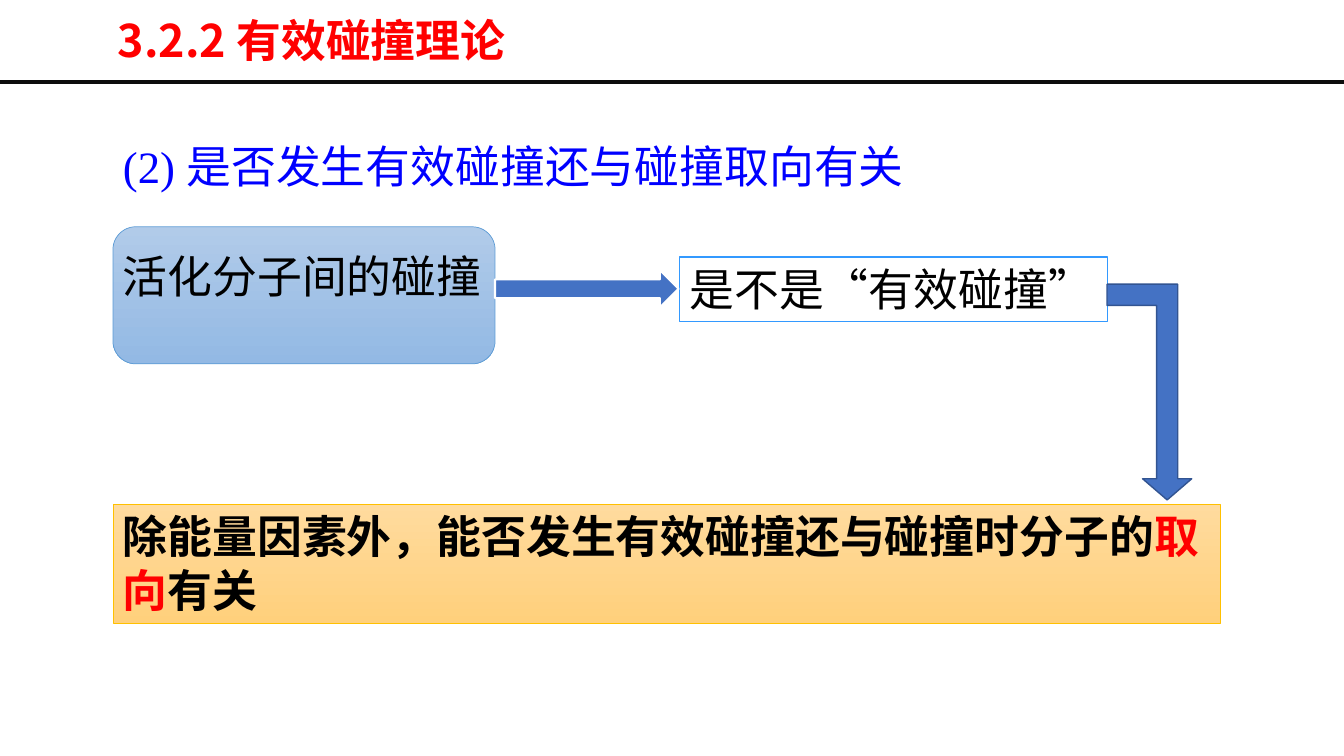
from dataclasses import dataclass
from typing import NamedTuple

from lxml.etree import SubElement
from pptx import Presentation
from pptx.dml.color import RGBColor
from pptx.dml.fill import FillFormat
from pptx.enum.shapes import MSO_CONNECTOR, MSO_SHAPE
from pptx.enum.text import MSO_ANCHOR, PP_ALIGN
from pptx.oxml.ns import qn
from pptx.shapes.autoshape import Shape
from pptx.slide import Slide
from pptx.util import Emu, Pt

EMU_PER_PX = 9144
SLIDE_WIDTH, SLIDE_HEIGHT = 1333, 750


@dataclass(frozen=True)
class Theme:
    text_size: int = 32
    sans: str = "Noto Sans CJK SC"
    serif: str = "Times New Roman"
    black: str = "000000"
    red: str = "FF0000"
    blue: str = "0000FF"
    rule: str = "0D0D0D"
    arrow: str = "4472C4"
    arrow_edge: str = "325491"
    white: str = "FFFFFF"
    sky: tuple[str, str] = ("B1CBE9", "93B9E4")
    sky_edge: str = "5B9BD5"
    question_edge: str = "3399FF"
    amber: tuple[str, str] = ("FFDB9E", "FFD07C")
    amber_edge: str = "FFC000"


THEME = Theme()


class Box(NamedTuple):
    left: int
    top: int
    width: int
    height: int


class Block(NamedTuple):
    kind: MSO_SHAPE
    box: Box
    fill: tuple[str, ...]
    edge: str
    edge_width: float
    adjustments: tuple[float, ...] = ()
    flipped: bool = False


class Label(NamedTuple):
    box: Box
    runs: tuple[tuple[str, str], ...]
    font: str = THEME.sans
    bold: bool = False
    wrap: bool = True
    anchor: MSO_ANCHOR = MSO_ANCHOR.TOP
    paragraph_format: dict[str, object] = {}


COLLISION = Box(112, 225, 379, 136)
QUESTION = Box(674, 255, 424, 64)
CONCLUSION = Box(112, 500, 1098, 118)

BLOCKS = (
    Block(MSO_SHAPE.FLOWCHART_ALTERNATE_PROCESS, COLLISION, THEME.sky, THEME.sky_edge, 0.5),
    Block(MSO_SHAPE.RECTANGLE, QUESTION, (), THEME.question_edge, 0.75),
    Block(MSO_SHAPE.BENT_UP_ARROW, Box(1098, 282, 84, 214), (THEME.arrow,),
          THEME.arrow_edge, 1, (0.25, 0.29, 0.25), True),
    Block(MSO_SHAPE.RECTANGLE, CONCLUSION, THEME.amber, THEME.amber_edge, 0.5),
    Block(MSO_SHAPE.RIGHT_ARROW, Box(491, 268, 182, 37), (THEME.arrow,), THEME.white, 1.5),
)

LABELS = (
    Label(Box(107, 13, 923, 60), (("3.2.2 有效碰撞理论", THEME.red),), bold=True,
          anchor=MSO_ANCHOR.MIDDLE, paragraph_format={"line_spacing": 0.9}),
    Label(Box(112, 106, 1115, 565), (("(2) 是否发生有效碰撞还与碰撞取向有关", THEME.blue),),
          font=THEME.serif,
          paragraph_format={"line_spacing": 1.5, "space_before": Pt(10),
                            "alignment": PP_ALIGN.JUSTIFY}),
    Label(Box(112, 242, 379, 102), (("活化分子间的碰撞", THEME.black),), wrap=False),
    Label(QUESTION, (("是不是“有效碰撞”", THEME.black),), wrap=False,
          paragraph_format={"alignment": PP_ALIGN.JUSTIFY}),
    Label(CONCLUSION,
          (("除能量因素外，能否发生有效碰撞还与碰撞时分子的", THEME.black),
           ("取向", THEME.red), ("有关", THEME.black)),
          font=THEME.serif, bold=True),
)


def px(length: int) -> Emu:
    return Emu(length * EMU_PER_PX)


def rgb(color: str) -> RGBColor:
    return RGBColor.from_string(color)


def paint(fill: FillFormat, colors: tuple[str, ...]) -> None:
    """Fill with nothing, one colour, or a gradient running from top to bottom."""
    if not colors:
        fill.background()
    elif len(colors) == 1:
        fill.solid()
        fill.fore_color.rgb = rgb(colors[0])
    else:
        fill.gradient()
        fill.gradient_angle = 270
        for stop, color in zip(fill.gradient_stops, colors):
            stop.color.rgb = rgb(color)


def add_block(slide: Slide, block: Block) -> Shape:
    shape = slide.shapes.add_shape(block.kind, *map(px, block.box))
    shape.shadow.inherit = False
    paint(shape.fill, block.fill)
    shape.line.color.rgb = rgb(block.edge)
    shape.line.width = Pt(block.edge_width)
    for index, value in enumerate(block.adjustments):
        shape.adjustments[index] = value
    if block.flipped:
        shape._element.spPr.find(qn("a:xfrm")).set("flipV", "1")
    return shape


def write_label(shape: Shape, label: Label) -> None:
    frame = shape.text_frame
    frame.word_wrap = label.wrap
    frame.vertical_anchor = label.anchor
    paragraph = frame.paragraphs[0]
    for name, value in ({"alignment": PP_ALIGN.LEFT} | label.paragraph_format).items():
        setattr(paragraph, name, value)
    font_format = {"size": Pt(THEME.text_size), "name": label.font, "bold": label.bold}
    for text, color in label.runs:
        run = paragraph.add_run()
        run.text = text
        for name, value in font_format.items():
            setattr(run.font, name, value)
        run.font.color.rgb = rgb(color)
        east_asian = SubElement(run._r.get_or_add_rPr(), qn("a:ea"))
        east_asian.set("typeface", THEME.sans)


def add_title_rule(slide: Slide) -> None:
    rule = slide.shapes.add_connector(
        MSO_CONNECTOR.STRAIGHT, px(0), px(81), px(SLIDE_WIDTH), px(81))
    rule.line.color.rgb = rgb(THEME.rule)
    rule.line.width = Pt(3)
    SubElement(rule._element.spPr, qn("a:effectLst"))


def main() -> None:
    presentation = Presentation()
    presentation.slide_width = px(SLIDE_WIDTH)
    presentation.slide_height = px(SLIDE_HEIGHT)
    slide = presentation.slides.add_slide(presentation.slide_layouts[6])
    add_title_rule(slide)
    shapes_by_box = {block.box: add_block(slide, block) for block in BLOCKS}
    for label in LABELS:
        shape = shapes_by_box.get(label.box) or slide.shapes.add_textbox(*map(px, label.box))
        write_label(shape, label)
    presentation.save("out.pptx")


if __name__ == "__main__":
    main()
